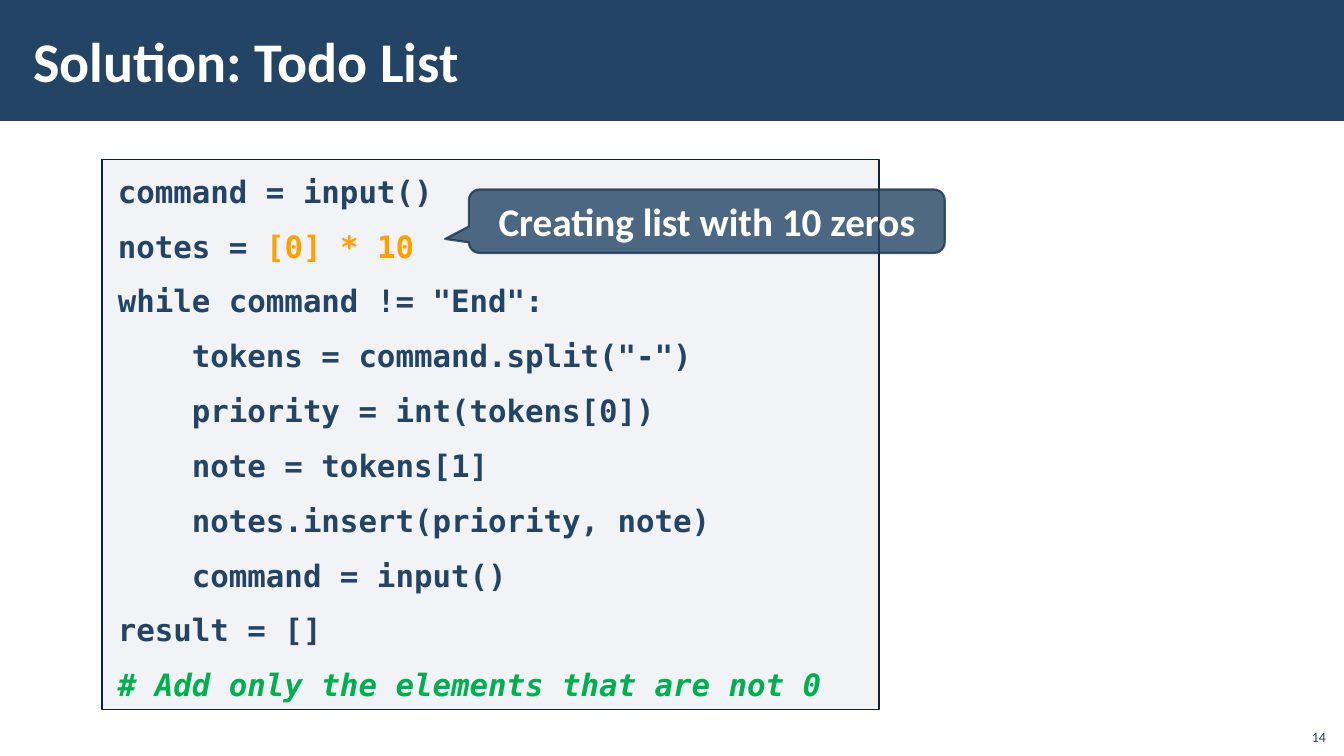
from lxml.etree import SubElement
from pptx import Presentation
from pptx.dml.color import RGBColor
from pptx.enum.shapes import MSO_SHAPE
from pptx.enum.text import MSO_ANCHOR, MSO_AUTO_SIZE, PP_ALIGN
from pptx.oxml.ns import qn
from pptx.util import Emu, Pt

SCALE = 9144
NAVY = RGBColor(0x23, 0x44, 0x65)
GREY = RGBColor(0xAD, 0xB4, 0xC3)
DARK = RGBColor(0x11, 0x22, 0x33)
EDGE = RGBColor(0x1A, 0x33, 0x4C)
AMBER = RGBColor(0xFF, 0xA0, 0x00)
GREEN = RGBColor(0x00, 0xB0, 0x50)
WHITE = RGBColor(0xFF, 0xFF, 0xFF)

MONO = {"name": "DejaVu Sans Mono", "size": Pt(22), "bold": True}
HEAD = {"name": "Calibri", "size": Pt(40), "bold": True}
NOTE = {"name": "Calibri", "size": Pt(28), "bold": True}
FOOT = {"name": "Calibri", "size": Pt(10)}
LINE = {"space_before": Pt(6), "space_after": Pt(6), "line_spacing": 1.03,
        "alignment": PP_ALIGN.LEFT}

CODE = [
    [("command = input()", NAVY)],
    [("notes = ", NAVY), ("[0] * 10", AMBER)],
    [('while command != "End":', NAVY)],
    [('    tokens = command.split("-")', NAVY)],
    [("    priority = int(tokens[0])", NAVY)],
    [("    note = tokens[1]", NAVY)],
    [("    notes.insert(priority, note)", NAVY)],
    [("    command = input()", NAVY)],
    [("result = []", NAVY)],
    [("# Add only the elements that are not 0", GREEN)],
]


def px(count):
    return Emu(count * SCALE)


def apply(target, values):
    for name, value in values.items():
        setattr(target, name, value)


def place(shape, left, top, width, height):
    apply(shape, {"left": px(left), "top": px(top),
                  "width": px(width), "height": px(height)})


def frame(shape, anchor, side, edge):
    text = shape.text_frame
    apply(text, {"word_wrap": True, "auto_size": MSO_AUTO_SIZE.NONE,
                 "vertical_anchor": anchor,
                 "margin_left": px(side), "margin_right": px(side),
                 "margin_top": px(edge), "margin_bottom": px(edge)})
    return text


def write(para, text, font, color, slant=False):
    run = para.add_run()
    run.text = text
    apply(run.font, font)
    run.font.color.rgb = color
    if slant:
        run.font.italic = True


def fade(part, percent):
    for color in part.iter(qn("a:srgbClr")):
        SubElement(color, qn("a:alpha"), val=str(percent * 1000))


def paint(shape, fill, alpha, line, width):
    shape.fill.solid()
    shape.fill.fore_color.rgb = fill
    fade(shape._element.spPr.find(qn("a:solidFill")), alpha)
    shape.line.color.rgb = line
    shape.line.width = Pt(width)


def add_band(slide):
    band = slide.shapes.add_shape(MSO_SHAPE.RECTANGLE, 0, 0, px(1333), px(120))
    band.shadow.inherit = False
    band.fill.solid()
    band.fill.fore_color.rgb = NAVY
    band.line.fill.background()
    slide.shapes._spTree.insert(2, band._element)


def add_title(slide, words):
    title = slide.shapes.title
    place(title, 21, 11, 1063, 97)
    para = frame(title, MSO_ANCHOR.MIDDLE, 12, 4).paragraphs[0]
    para.alignment = PP_ALIGN.LEFT
    write(para, words, HEAD, WHITE)


def add_code(slide, lines):
    body = slide.placeholders[1]
    place(body, 101, 158, 771, 546)
    paint(body, GREY, 15, DARK, 1)
    text = frame(body, MSO_ANCHOR.TOP, 16, 12)
    for row, parts in enumerate(lines):
        para = text.add_paragraph() if row else text.paragraphs[0]
        apply(para, LINE)
        props = para._p.get_or_add_pPr()
        props.set("marL", "0")
        props.set("indent", "0")
        SubElement(props, qn("a:buNone"))
        for words, color in parts:
            write(para, words, MONO, color, color == GREEN)


def add_note(slide, words):
    note = slide.shapes.add_shape(MSO_SHAPE.ROUNDED_RECTANGULAR_CALLOUT,
                                  px(465), px(188), px(472), px(63))
    note.shadow.inherit = False
    for index, value in enumerate((-0.55, 0.28, 0.17)):
        note.adjustments[index] = value
    paint(note, NAVY, 80, EDGE, 1.5)
    fade(note._element.spPr.find(qn("a:ln")), 80)
    para = frame(note, MSO_ANCHOR.MIDDLE, 10, 5).paragraphs[0]
    para.alignment = PP_ALIGN.CENTER
    write(para, words, NOTE, WHITE)


def add_page(slide, words):
    page = slide.shapes.add_textbox(px(1285), px(712), px(40), px(32))
    para = frame(page, MSO_ANCHOR.BOTTOM, 10, 5).paragraphs[0]
    para.alignment = PP_ALIGN.RIGHT
    write(para, words, FOOT, NAVY)


def main():
    deck = Presentation()
    apply(deck, {"slide_width": px(1333), "slide_height": px(750)})
    slide = deck.slides.add_slide(deck.slide_layouts[1])
    add_band(slide)
    add_title(slide, "Solution: Todo List")
    add_code(slide, CODE)
    add_note(slide, "Creating list with 10 zeros")
    add_page(slide, "14")
    deck.save("out.pptx")


if __name__ == "__main__":
    main()
